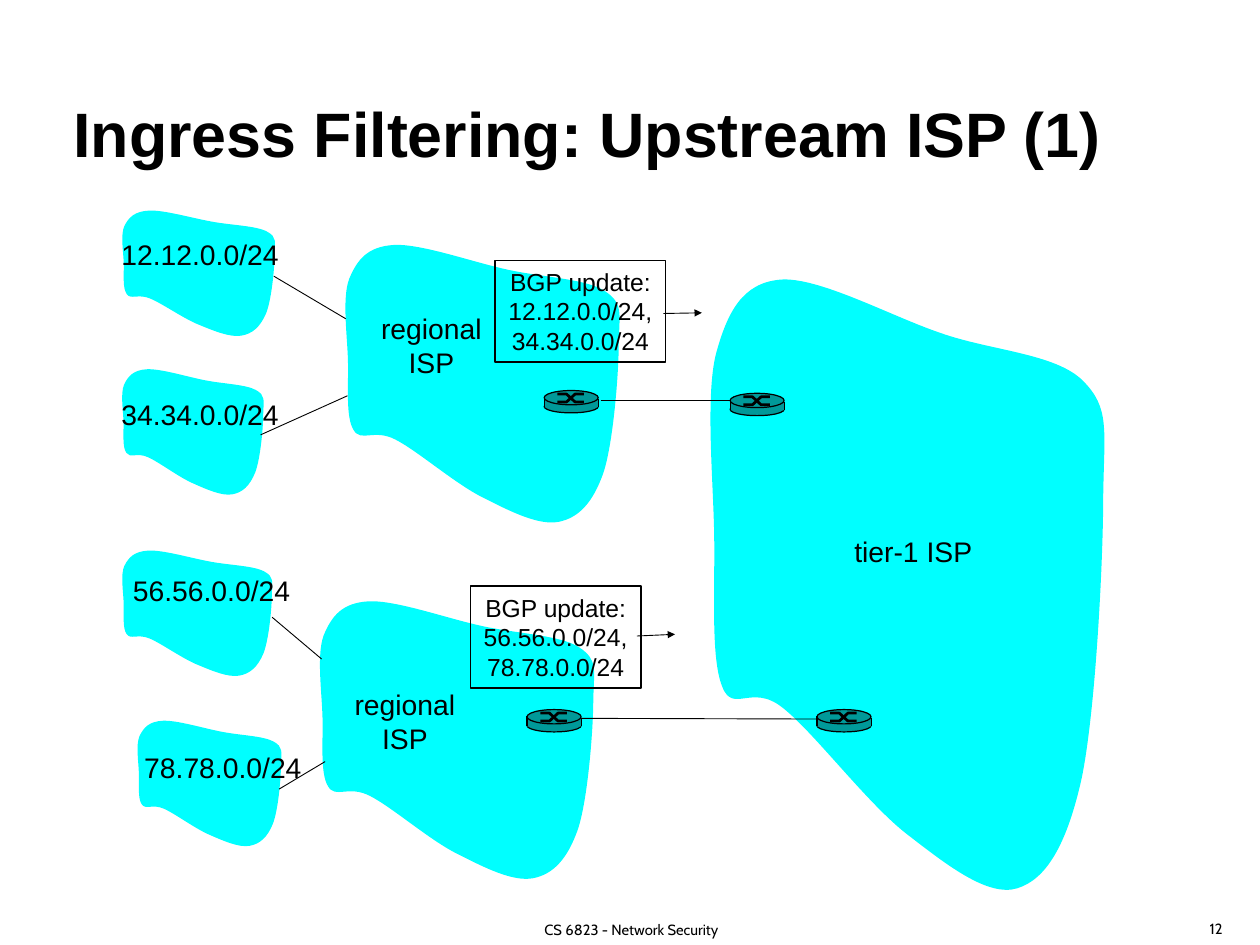
from lxml.etree import SubElement
from pptx import Presentation
from pptx.dml.color import RGBColor
from pptx.enum.shapes import MSO_CONNECTOR, MSO_SHAPE
from pptx.enum.text import MSO_ANCHOR, PP_ALIGN
from pptx.oxml.ns import qn
from pptx.util import Cm, Pt

COLORS = {"ink": "000000", "cloud": "00FFFF", "router": "009999"}
CENTER, LEFT = PP_ALIGN.CENTER, PP_ALIGN.LEFT
TOP, MIDDLE = MSO_ANCHOR.TOP, MSO_ANCHOR.MIDDLE
INSETS = (0.36, 0.18)

TITLE = ("Ingress Filtering: Upstream ISP (1)", (1.75, 2.34, 32.51, 3.35))
FOOTER = ("CS 6823 - Network Security", (15.44, 26.42, 5.33, 0.48))
PAGE_NUMBER = ("12", (34.32, 26.19, 1.8, 0.91))

CLOUDS = [
    (9.8, 6.98, 8.08, 8.1),
    (9.07, 17.2, 8.08, 8.1),
    (20.22, 7.92, 11.61, 17.81),
    (3.45, 6.02, 4.5, 3.66),
    (3.45, 10.57, 4.17, 3.66),
    (3.45, 15.77, 4.42, 3.66),
    (3.89, 20.65, 4.24, 3.66),
]
OUTLINE_SIZE = (457, 701)
OUTLINE_START = (84, 4)
OUTLINE_CURVES = [
    ((42, 8), (25, 40), (12, 88)),
    ((0, 136), (9, 230), (10, 292)),
    ((11, 355), (6, 431), (19, 463)),
    ((31, 495), (52, 459), (87, 487)),
    ((122, 514), (184, 597), (229, 631)),
    ((273, 665), (319, 701), (352, 691)),
    ((384, 681), (407, 644), (424, 570)),
    ((440, 497), (449, 324), (449, 249)),
    ((450, 173), (457, 149), (426, 118)),
    ((395, 87), (321, 84), (265, 64)),
    ((209, 45), (127, 0), (84, 4)),
]

LABELS = [
    ("12.12.0.0/24", (3.1, 6.63, 5.28, 1.35)),
    ("34.34.0.0/24", (3.1, 11.2, 5.28, 1.35)),
    ("56.56.0.0/24", (3.43, 16.26, 5.28, 1.35)),
    ("78.78.0.0/24", (3.73, 21.34, 5.33, 1.35)),
    ("regional\nISP", (10.54, 8.74, 3.66, 2.34)),
    ("regional\nISP", (9.78, 19.53, 3.66, 2.34)),
    ("tier-1 ISP", (24.13, 15.14, 4.11, 1.35)),
]
UPDATES = [
    ("BGP update:\n12.12.0.0/24,\n34.34.0.0/24", (14.2, 7.47, 4.88, 2.92)),
    ("BGP update:\n56.56.0.0/24,\n78.78.0.0/24", (13.49, 16.81, 4.88, 2.92)),
]
LINKS = [
    (7.85, 7.92, 9.91, 9.14),
    (7.47, 12.47, 9.96, 11.35),
    (7.8, 17.7, 9.22, 18.9),
    (8, 22.63, 9.32, 21.84),
    (16.59, 20.6, 23.52, 20.62),
    (17.22, 11.48, 21.03, 11.48),
]
ARROWS = [(19.02, 8.99, 20.12, 8.97), (18.26, 18.24, 19.35, 18.19)]

ROUTERS = [(15.6, 11.2), (20.93, 11.28), (15.11, 20.35), (23.42, 20.35)]
ROUTER_BODY = [
    (MSO_SHAPE.OVAL, (0, 0.28, 1.55, 0.36), True),
    (MSO_SHAPE.RECTANGLE, (0, 0.25, 1.55, 0.23), False),
    (MSO_SHAPE.OVAL, (0, 0, 1.55, 0.41), True),
]
ROUTER_SIDES = [(0, 0.18, 0, 0.48), (1.56, 0.25, 1.56, 0.48)]
ROUTER_CROSS = [
    [(0.38, 0.1), (0.64, 0.1), (0.89, 0.33), (1.14, 0.33)],
    [(0.38, 0.33), (0.64, 0.33), (0.89, 0.1), (1.14, 0.1)],
]


def color(name):
    return RGBColor.from_string(COLORS[name])


def set_line(line, width):
    line.color.rgb = color("ink")
    line.width = Pt(width)


def set_fill(shape, name):
    shape.shadow.inherit = False
    shape.fill.solid()
    shape.fill.fore_color.rgb = color(name)
    shape.line.fill.background()


def add_text(slide, text, box, size, font="Arial", align=CENTER, anchor=TOP,
             insets=INSETS, bold=False):
    shape = slide.shapes.add_textbox(*map(Cm, box))
    frame = shape.text_frame
    frame.word_wrap = align == LEFT
    frame.vertical_anchor = anchor
    frame.margin_left = frame.margin_right = Cm(insets[0])
    frame.margin_top = frame.margin_bottom = Cm(insets[1])
    for index, line in enumerate(text.split("\n")):
        paragraph = frame.add_paragraph() if index else frame.paragraphs[0]
        paragraph.alignment = align
        run = paragraph.add_run()
        run.text = line
        run.font.name = font
        run.font.size = Pt(size)
        run.font.bold = bold
        run.font.color.rgb = color("ink")
    return shape


def add_line(shapes, ends, width=0.75, arrow=False):
    connector = shapes.add_connector(MSO_CONNECTOR.STRAIGHT, *map(Cm, ends))
    set_line(connector.line, width)
    properties = connector._element.spPr
    if arrow:
        SubElement(properties.find(qn("a:ln")), qn("a:tailEnd"), type="triangle")
    SubElement(properties, qn("a:effectLst"))


def add_cloud(slide, left, top, width, height):
    outline = [OUTLINE_START] + [point for curve in OUTLINE_CURVES for point in curve]
    points = [(Cm(left + x * width / OUTLINE_SIZE[0]), Cm(top + y * height / OUTLINE_SIZE[1]))
              for x, y in outline]
    builder = slide.shapes.build_freeform(*points[0])
    builder.add_line_segments(points[1:], close=True)
    shape = builder.convert_to_shape()
    set_fill(shape, "cloud")
    segments = list(shape._element.iter(qn("a:lnTo")))
    for start in range(0, len(segments), 3):
        curve = segments[start]
        curve.tag = qn("a:cubicBezTo")
        for segment in segments[start + 1:start + 3]:
            curve.append(segment[0])
            segment.getparent().remove(segment)


def add_router(slide, left, top):
    shapes = slide.shapes.add_group_shape().shapes
    for kind, (x, y, width, height), outlined in ROUTER_BODY:
        shape = shapes.add_shape(kind, Cm(left + x), Cm(top + y), Cm(width), Cm(height))
        set_fill(shape, "router")
        if outlined:
            set_line(shape.line, 1)
    for x1, y1, x2, y2 in ROUTER_SIDES:
        add_line(shapes, (left + x1, top + y1, left + x2, top + y2), 1)
    for stroke in ROUTER_CROSS:
        points = [(Cm(left + x), Cm(top + y)) for x, y in stroke]
        builder = shapes.build_freeform(*points[0])
        builder.add_line_segments(points[1:], close=False)
        shape = builder.convert_to_shape()
        shape.shadow.inherit = False
        shape.fill.background()
        set_line(shape.line, 2.25)


def main():
    """Build the ingress filtering slide."""
    presentation = Presentation()
    presentation.slide_width, presentation.slide_height = Cm(36.12), Cm(27.1)
    slide = presentation.slides.add_slide(presentation.slide_layouts[6])
    add_text(slide, *FOOTER, 12, "Cabin", anchor=MIDDLE, insets=(0, 0))
    add_text(slide, *PAGE_NUMBER, 12, "Cabin", align=LEFT)
    add_text(slide, *TITLE, 51, align=LEFT, insets=(0.36, 0.38), bold=True)
    for cloud in CLOUDS:
        add_cloud(slide, *cloud)
    for link in LINKS:
        add_line(slide.shapes, link)
    for router in ROUTERS:
        add_router(slide, *router)
    for text, box in UPDATES:
        set_line(add_text(slide, text, box, 20).line, 1.5)
    for arrow in ARROWS:
        add_line(slide.shapes, arrow, arrow=True)
    for text, box in LABELS:
        add_text(slide, text, box, 23)
    presentation.save("out.pptx")


if __name__ == "__main__":
    main()
